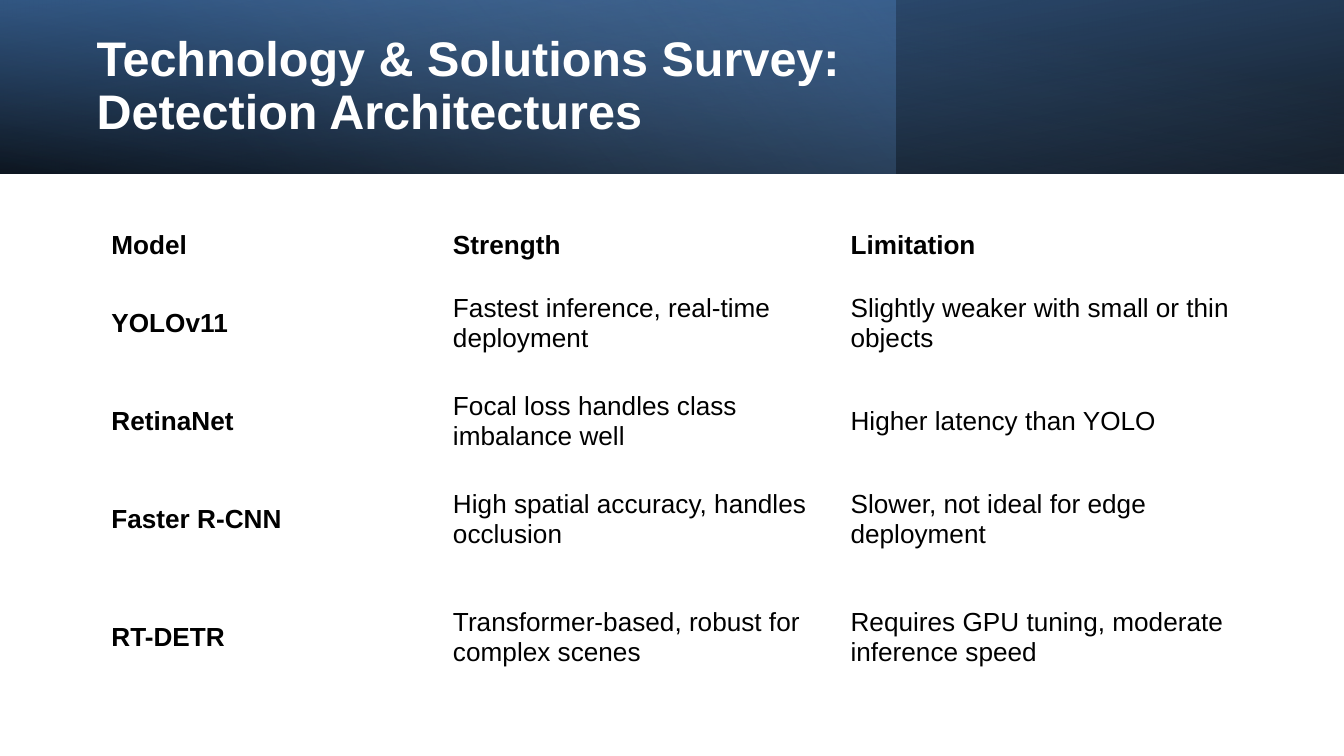
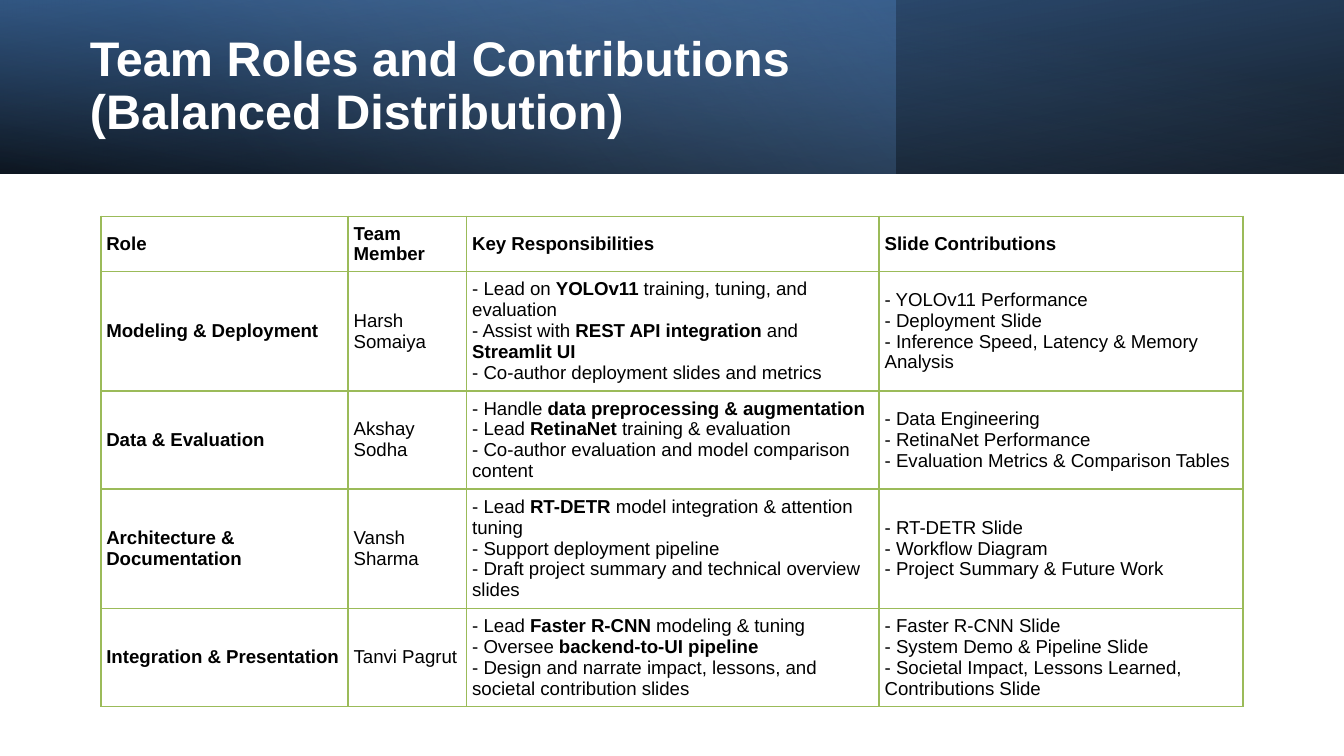
from typing import NamedTuple

from pptx import Presentation
from pptx.dml.color import RGBColor
from pptx.enum.shapes import MSO_SHAPE
from pptx.enum.text import MSO_ANCHOR, MSO_AUTO_SIZE, PP_ALIGN
from pptx.oxml import parse_xml
from pptx.oxml.ns import nsdecls, qn
from pptx.util import Pt

RECTANGLE = MSO_SHAPE.RECTANGLE
MIDDLE = MSO_ANCHOR.MIDDLE
NO_AUTOFIT = MSO_AUTO_SIZE.NONE
LEFT = PP_ALIGN.LEFT

FONT = "Arial"
BLACK, WHITE = "000000", "FFFFFF"
BLUE, DEEP_BLUE, PALE_BLUE = "4F81BD", "366092", "93B3D7"
GREEN = "9BBB59"

SLIDE_WIDTH, SLIDE_HEIGHT = 720, 405
BAND_HEIGHT = 93
TITLE_TOP, TITLE_HEIGHT = 12.5, 68.5
TABLE_TOP = 116
TITLE_ONLY_LAYOUT = 5
PLAIN_TABLE_STYLE = "{2D5ABB26-0587-4C30-8999-92F81FD0307C}"


class Stop(NamedTuple):
    position: int
    color: str
    opacity: int = 100


class Band(NamedTuple):
    width: float
    stops: list[Stop]
    angle: int
    rotation: int = 0
    mirrored: bool = False


class Heading(NamedTuple):
    """Newlines in the text start paragraphs, vertical tabs break lines."""
    text: str
    left: float
    width: float


class Grid(NamedTuple):
    left: float
    columns: list[float]
    rows: list[float]
    cells: list[list[str]]
    font_size: float
    inset_x: float
    inset_y: float
    border: str | None = None


BANDS = [
    Band(SLIDE_WIDTH, [Stop(0, BLACK, 96), Stop(100, DEEP_BLUE)], 100, 180, True),
    Band(480, [Stop(0, BLUE, 41), Stop(74, PALE_BLUE, 0), Stop(100, PALE_BLUE, 0)], 140),
    Band(SLIDE_WIDTH, [Stop(0, BLACK, 63), Stop(78, BLUE, 15), Stop(100, BLUE, 15)],
         260, mirrored=True),
]

ARCHITECTURES = Grid(
    left=52.5,
    columns=[183, 213, 219.5],
    rows=[31, 52.5, 52.5, 52.5, 74],
    font_size=14,
    inset_x=7.2,
    inset_y=3.6,
    cells=[
        ["**Model**", "**Strength**", "**Limitation**"],
        ["**YOLOv11**", "Fastest inference, real-time deployment",
         "Slightly weaker with small or thin objects"],
        ["**RetinaNet**", "Focal loss handles class imbalance well",
         "Higher latency than YOLO"],
        ["**Faster R-CNN**", "High spatial accuracy, handles occlusion",
         "Slower, not ideal for edge deployment"],
        ["**RT-DETR**", "Transformer-based, robust for complex scenes",
         "Requires GPU tuning, moderate inference speed"],
    ],
)

TEAM_ROLES = Grid(
    left=54,
    columns=[132.5, 63.5, 221, 195],
    rows=[29.5, 64, 52.5, 64, 52.5],
    font_size=10,
    inset_x=3,
    inset_y=1.5,
    border=GREEN,
    cells=[
        ["**Role**", "**Team Member**", "**Key Responsibilities**",
         "**Slide Contributions**"],
        ["**Modeling & Deployment**", "Harsh Somaiya",
         "- Lead on **YOLOv11** training, tuning, and evaluation\v"
         "- Assist with **REST API integration** and **Streamlit UI**\v"
         "- Co-author deployment slides and metrics",
         "- YOLOv11 Performance\v- Deployment Slide\v"
         "- Inference Speed, Latency & Memory Analysis"],
        ["**Data & Evaluation**", "Akshay Sodha",
         "- Handle **data preprocessing & augmentation**\v"
         "- Lead **RetinaNet** training & evaluation\v"
         "- Co-author evaluation and model comparison content",
         "- Data Engineering\v- RetinaNet Performance\v"
         "- Evaluation Metrics & Comparison Tables"],
        ["**Architecture & Documentation**", "Vansh Sharma",
         "- Lead **RT-DETR** model integration & attention tuning\v"
         "- Support deployment pipeline\v"
         "- Draft project summary and technical overview slides",
         "- RT-DETR Slide\v- Workflow Diagram\v- Project Summary & Future Work"],
        ["**Integration & Presentation**", "Tanvi Pagrut",
         "- Lead **Faster R-CNN** modeling & tuning\v"
         "- Oversee **backend-to-UI pipeline**\v"
         "- Design and narrate impact, lessons, and societal contribution slides",
         "- Faster R-CNN Slide\v- System Demo & Pipeline Slide\v"
         "- Societal Impact, Lessons Learned, Contributions Slide"],
    ],
)

PAGES = [
    (Heading("**Technology & Solutions Survey:**\n**Detection Architectures**", 44.5, 417),
     ARCHITECTURES),
    (Heading("**Team Roles and Contributions**\v**(Balanced Distribution)**", 41, 594),
     TEAM_ROLES),
]


def rgb(color: str) -> RGBColor:
    return RGBColor.from_string(color)


def write_text(frame, text: str, *, size: float, color: str = BLACK,
               line_spacing: float | None = None) -> None:
    """Write paragraphs and line breaks; **marks** enclose bold words."""
    frame.word_wrap = True
    for number, paragraph_text in enumerate(text.split("\n")):
        paragraph = frame.paragraphs[0] if number == 0 else frame.add_paragraph()
        paragraph.alignment = LEFT
        paragraph.line_spacing = line_spacing
        for line_number, line in enumerate(paragraph_text.split("\v")):
            if line_number:
                paragraph.add_line_break()
            for piece_number, piece in enumerate(line.split("**")):
                if not piece:
                    continue
                run = paragraph.add_run()
                run.text = piece
                run.font.name = FONT
                run.font.size = Pt(size)
                run.font.bold = piece_number % 2 == 1
                run.font.color.rgb = rgb(color)


def draw_band(slide, band: Band) -> None:
    shape = slide.shapes.add_shape(RECTANGLE, 0, 0, Pt(band.width), Pt(BAND_HEIGHT))
    shape.shadow.inherit = False
    shape.line.fill.background()
    shape.rotation = band.rotation
    properties = shape._element.spPr
    if band.mirrored:
        properties.find(qn("a:xfrm")).set("flipH", "1")
    stops = "".join(
        f'<a:gs pos="{stop.position * 1000}"><a:srgbClr val="{stop.color}">'
        f'<a:alpha val="{stop.opacity * 1000}"/></a:srgbClr></a:gs>'
        for stop in band.stops
    )
    shape.fill.gradient()
    properties.replace(properties.find(qn("a:gradFill")), parse_xml(
        f'<a:gradFill {nsdecls("a")} rotWithShape="1"><a:gsLst>{stops}</a:gsLst>'
        f'<a:lin ang="{band.angle * 60000}" scaled="0"/></a:gradFill>'))


def draw_heading(slide, heading: Heading) -> None:
    title = slide.shapes.title
    title.left, title.top = Pt(heading.left), Pt(TITLE_TOP)
    title.width, title.height = Pt(heading.width), Pt(TITLE_HEIGHT)
    frame = title.text_frame
    frame.auto_size = NO_AUTOFIT
    frame.vertical_anchor = MIDDLE
    write_text(frame, heading.text, size=26, color=WHITE, line_spacing=0.9)
    slide.shapes._spTree.append(title._element)  # in front of the bands


def outline_cell(cell, color: str) -> None:
    properties = cell._tc.get_or_add_tcPr()
    for position, side in enumerate("LRTB"):
        properties.insert(position, parse_xml(
            f'<a:ln{side} {nsdecls("a")} w="{Pt(1)}"><a:solidFill>'
            f'<a:srgbClr val="{color}"/></a:solidFill></a:ln{side}>'))


def draw_table(slide, grid: Grid) -> None:
    table = slide.shapes.add_table(
        len(grid.rows), len(grid.columns), Pt(grid.left), Pt(TABLE_TOP),
        Pt(sum(grid.columns)), Pt(sum(grid.rows))).table
    table.first_row = table.horz_banding = False
    table._tbl.tblPr.find(qn("a:tableStyleId")).text = PLAIN_TABLE_STYLE
    for column, width in zip(table.columns, grid.columns):
        column.width = Pt(width)
    for row, height, texts in zip(table.rows, grid.rows, grid.cells):
        row.height = Pt(height)
        for cell, text in zip(row.cells, texts):
            cell.fill.background()
            cell.vertical_anchor = MIDDLE
            cell.margin_left = cell.margin_right = Pt(grid.inset_x)
            cell.margin_top = cell.margin_bottom = Pt(grid.inset_y)
            write_text(cell.text_frame, text, size=grid.font_size)
            if grid.border:
                outline_cell(cell, grid.border)


def main() -> None:
    presentation = Presentation()
    presentation.slide_width = Pt(SLIDE_WIDTH)
    presentation.slide_height = Pt(SLIDE_HEIGHT)
    for heading, grid in PAGES:
        slide = presentation.slides.add_slide(
            presentation.slide_layouts[TITLE_ONLY_LAYOUT])
        for band in BANDS:
            draw_band(slide, band)
        draw_heading(slide, heading)
        draw_table(slide, grid)
    presentation.save("out.pptx")


if __name__ == "__main__":
    main()
